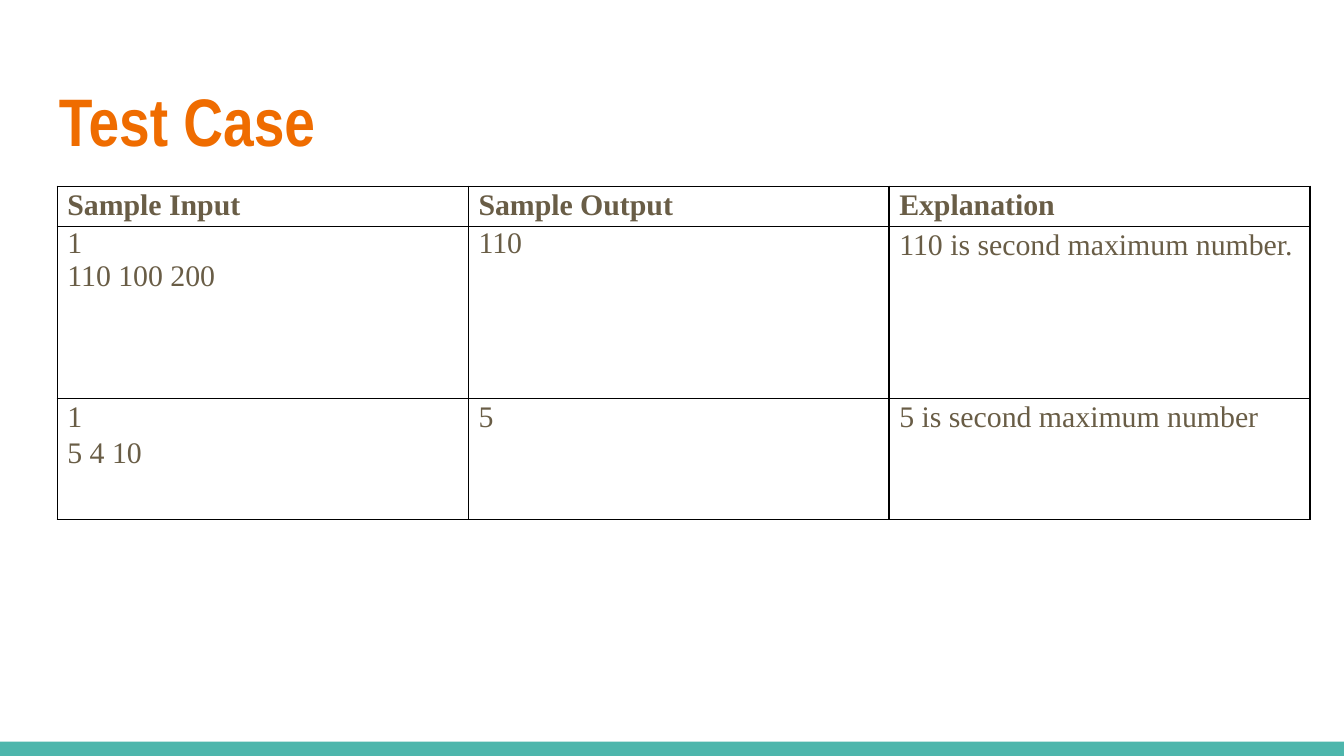
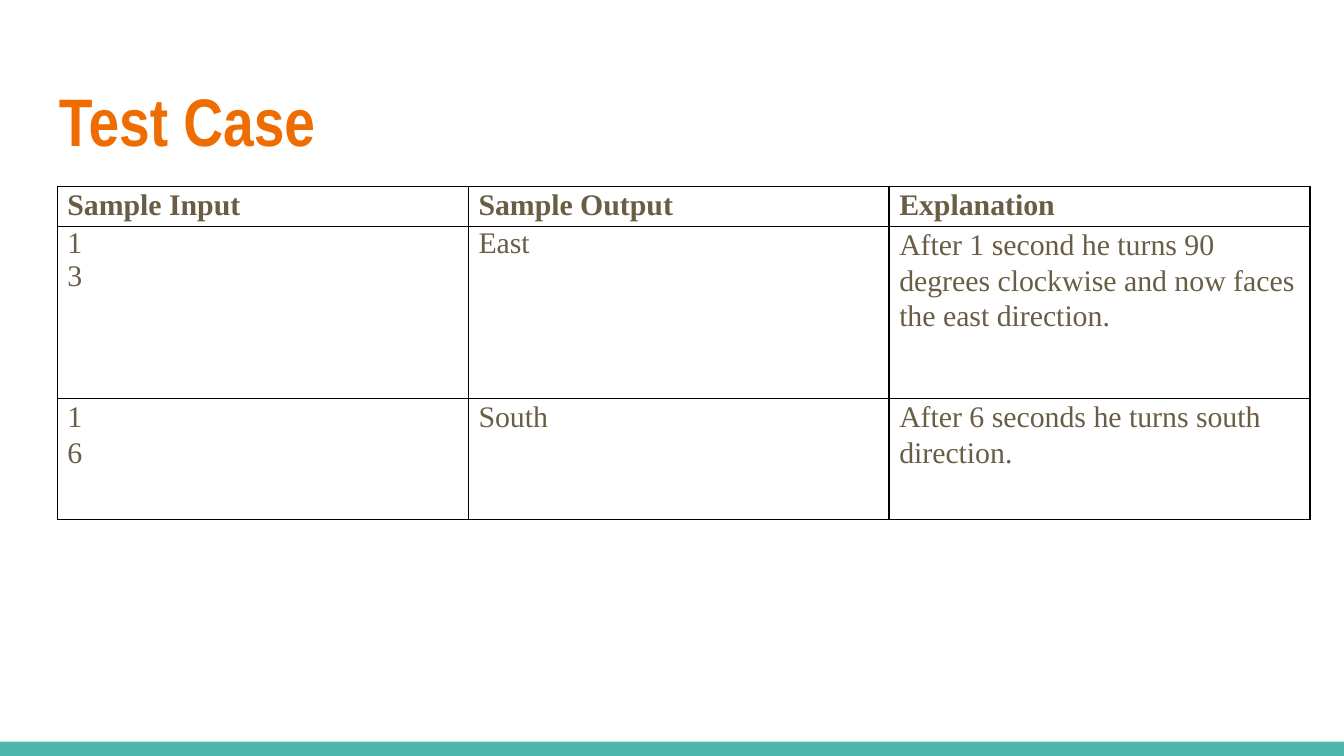
from lxml.etree import SubElement
from pptx import Presentation
from pptx.dml.color import RGBColor
from pptx.enum.shapes import MSO_SHAPE as Shape
from pptx.enum.text import MSO_ANCHOR as Anchor
from pptx.oxml.ns import qn
from pptx.util import Pt

WIDTH, HEIGHT = 720, 405
HEADERS = ("Sample Input", "Sample Output", "Explanation")
TEST_CASES = (
    (
        ("1\n110 100 200", "110", "110 is second maximum number."),
        ("1\n5 4 10", "5", "5 is second maximum number"),
    ),
    (
        ("1\n3", "East", "After 1 second he turns 90 degrees clockwise "
                         "and now faces the east direction."),
        ("1\n6", "South", "After 6 seconds he turns south direction."),
    ),
)


def color(value):
    """Turn a hex string into a colour."""
    return RGBColor.from_string(value)


class Deck:
    """Hold the style and the current slide."""

    title_font, body_font = "Arial Narrow", "Times New Roman"
    orange, brown, teal, black = "EF6C00", "695D46", "4DB6AC", "000000"
    column_widths = (220.3, 225.4, 225.4)
    row_heights = (21.6, 92.2, 64.8)

    def __init__(self):
        """Start an empty presentation."""
        self.presentation = Presentation()
        self.presentation.slide_width = Pt(WIDTH)
        self.presentation.slide_height = Pt(HEIGHT)
        self.slide = None

    def add_slide(self):
        """Add a blank slide with the bottom band."""
        layout = self.presentation.slide_layouts[6]
        self.slide = self.presentation.slides.add_slide(layout)
        self.band(HEIGHT - 7.6, 7.6)

    def band(self, top, height):
        """Draw a full-width band."""
        shape = self.slide.shapes.add_shape(
            Shape.RECTANGLE, 0, Pt(top), Pt(WIDTH), Pt(height))
        shape.shadow.inherit = False
        shape.fill.solid()
        shape.fill.fore_color.rgb = color(self.teal)
        shape.line.fill.background()

    def run(self, paragraph, text, font, size, hex_color, bold):
        """Add one styled run to a paragraph."""
        run = paragraph.add_run()
        run.text = text
        run.font.name = font
        run.font.size = Pt(size)
        run.font.bold = bold
        run.font.color.rgb = color(hex_color)

    def title(self, text):
        """Write the slide title."""
        box = self.slide.shapes.add_textbox(Pt(24.5), Pt(35.3), Pt(671), Pt(55.4))
        frame = box.text_frame
        frame.word_wrap = True
        frame.vertical_anchor = Anchor.TOP
        frame.margin_left = frame.margin_right = Pt(7.2)
        frame.margin_top = frame.margin_bottom = Pt(7.2)
        self.run(frame.paragraphs[0], text, self.title_font, 36, self.orange, True)

    def table(self, rows):
        """Draw a bordered table with a bold header row."""
        frame = self.slide.shapes.add_table(
            len(rows), len(self.column_widths), Pt(30.7), Pt(99.8),
            Pt(sum(self.column_widths)), Pt(sum(self.row_heights)))
        table = frame.table
        table.first_row = table.horz_banding = False
        for column, width in zip(table.columns, self.column_widths):
            column.width = Pt(width)
        for row, height in zip(table.rows, self.row_heights):
            row.height = Pt(height)
        for i, row in enumerate(rows):
            for j, text in enumerate(row):
                tight = i == 1 and j < 2
                self.cell(table.cell(i, j), text, i == 0, 1.0 if tight else 1.07)

    def cell(self, cell, text, bold, spacing):
        """Fill one table cell, a paragraph for each line."""
        cell.margin_left = cell.margin_right = Pt(5.4)
        cell.margin_top = cell.margin_bottom = 0
        self.borders(cell)
        cell.fill.background()
        frame = cell.text_frame
        for i, line in enumerate(text.split("\n")):
            paragraph = frame.add_paragraph() if i else frame.paragraphs[0]
            paragraph.line_spacing = spacing
            self.run(paragraph, line, self.body_font, 16, self.brown, bold)

    def borders(self, cell):
        """Give a cell a thin line on each side."""
        properties = cell._tc.get_or_add_tcPr()
        for side in ("a:lnL", "a:lnR", "a:lnT", "a:lnB"):
            line = SubElement(properties, qn(side), w=str(Pt(1)))
            fill = SubElement(line, qn("a:solidFill"))
            SubElement(fill, qn("a:srgbClr"), val=self.black)

    def save(self):
        """Save the presentation."""
        self.presentation.save("out.pptx")


def main():
    """Build one slide for each set of test cases."""
    deck = Deck()
    for cases in TEST_CASES:
        deck.add_slide()
        deck.title("Test Case")
        deck.table((HEADERS, *cases))
    deck.save()


if __name__ == "__main__":
    main()
